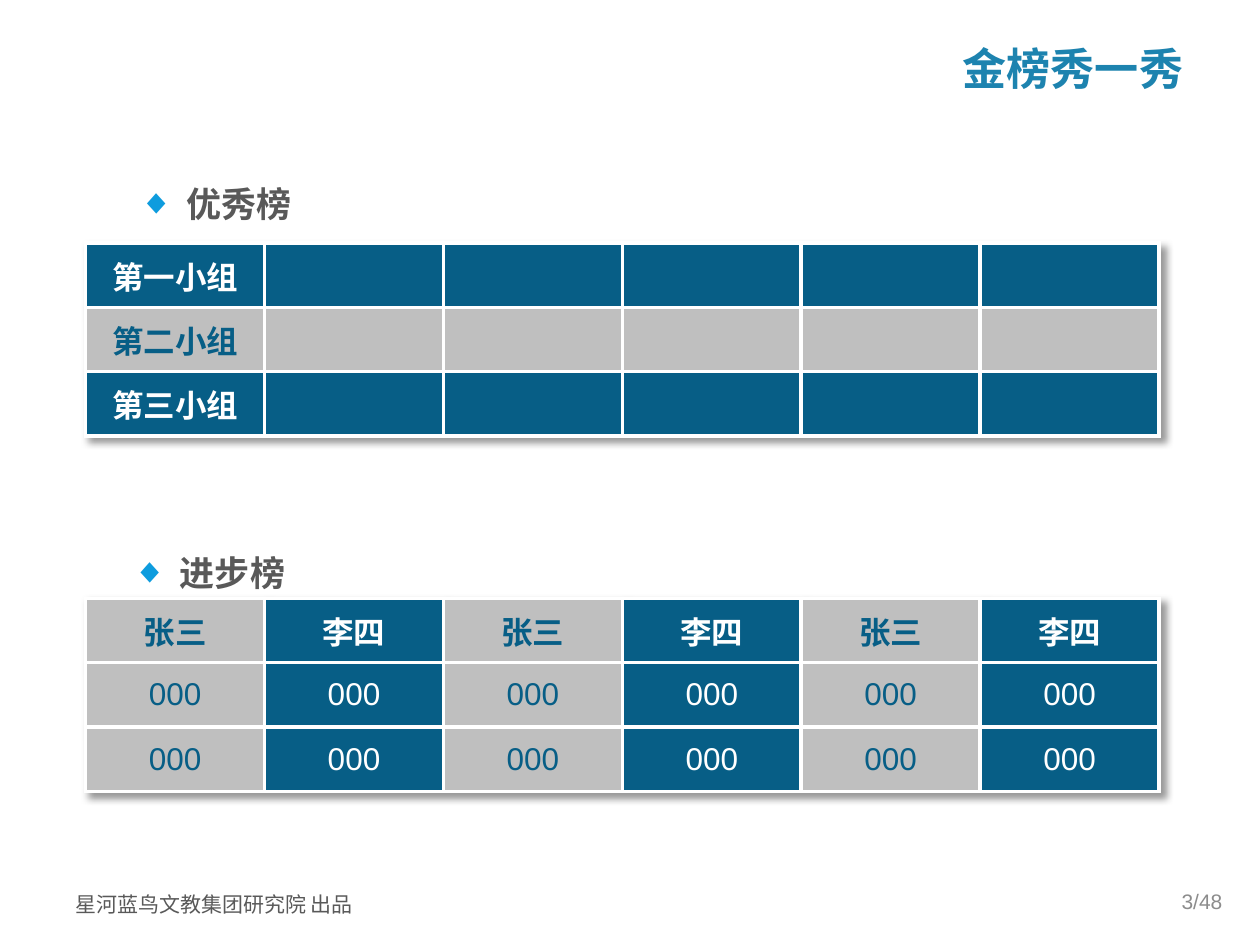
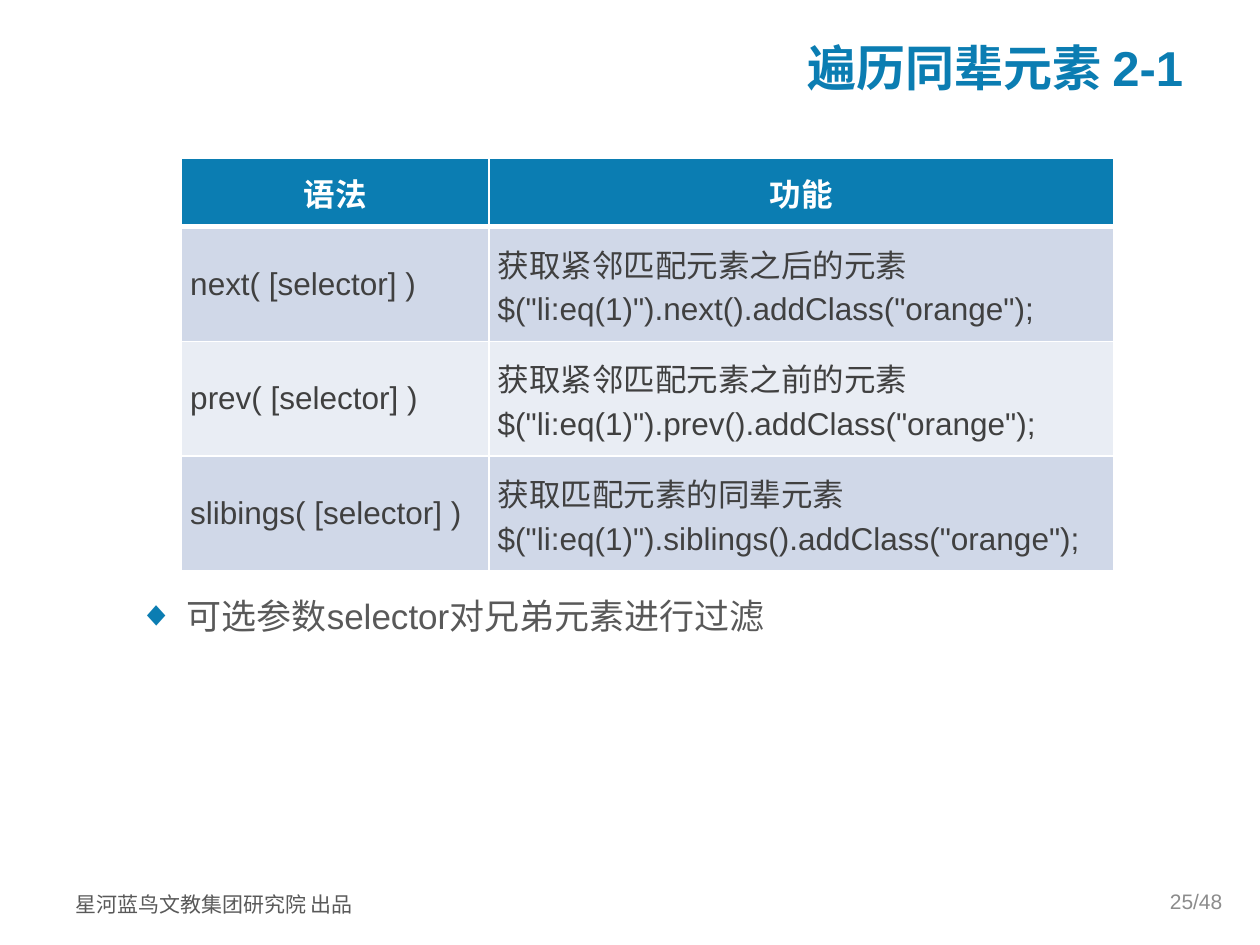
from lxml import etree
from pptx import Presentation
from pptx import util as u
from pptx.dml.color import RGBColor
from pptx.enum import text as t
from pptx.oxml import ns

CJK = "Noto Sans CJK SC"
SANS = "Arial"
WHITE, GREY, NAVY = "FFFFFF", "BFBFBF", "075E86"
BLUE, SKY, TEAL = "0B7DB2", "0E9CDE", "1D83AF"
TEXT, INK, PALE = "595959", "404040", "8C8C8C"
BANDS = ("D0D8E8", "E9EDF4")
LEFT, MID, RIGHT = t.PP_ALIGN.LEFT, t.PP_ALIGN.CENTER, t.PP_ALIGN.RIGHT


def color(code):
    return RGBColor.from_string(code)


def sub(parent, tag, **attrs):
    return etree.SubElement(parent, ns.qn("a:" + tag), attrs)


def place(shape, box):
    shape.left, shape.top, shape.width, shape.height = map(u.Inches, box)


def style(frame, size, code, font=SANS, bold=False, align=LEFT, lines=None, before=0):
    for para in frame.paragraphs:
        para.alignment = align
        para.space_before = u.Pt(before)
        if lines:
            para.line_spacing = lines
        for run in para.runs:
            run.font.size = u.Pt(size)
            run.font.bold = bold
            run.font.name = font
            run.font.color.rgb = color(code)
            sub(run.font._element, "ea", typeface=CJK)


def add_text(slide, box, words):
    shape = slide.shapes.add_textbox(*map(u.Inches, box))
    shape.text_frame.word_wrap = True
    shape.text_frame.text = words
    return shape.text_frame


def set_title(slide, words, size, code, font):
    title = slide.shapes.title
    place(title, (1, 0.31, 8.49, 0.45))
    frame = title.text_frame
    frame.text = words
    frame.auto_size = t.MSO_AUTO_SIZE.NONE
    frame.vertical_anchor = t.MSO_ANCHOR.MIDDLE
    style(frame, size, code, font, True, RIGHT)


def set_body(slide, box, words):
    body = slide.placeholders[1]
    place(body, box)
    frame = body.text_frame
    frame.text = words
    frame.auto_size = t.MSO_AUTO_SIZE.NONE
    return frame


def bullet(frame, mark, lines, font=CJK, bold=False):
    style(frame, 20, TEXT, font, bold, lines=lines, before=4)
    for para in frame.paragraphs:
        props = para._p.get_or_add_pPr()
        props.set("marL", str(u.Inches(0.38)))
        props.set("indent", str(-u.Inches(0.38)))
        sub(sub(props, "buClr"), "srgbClr", val=mark)
        sub(props, "buFont", typeface=SANS)
        sub(props, "buChar", char="◆")


def add_foot(slide, page):
    foot = add_text(slide, (0.5, 6.99, 2.53, 0.34), "星河蓝鸟文教集团研究院 出品")
    style(foot, 12, TEXT, CJK, lines=1.2)
    number = add_text(slide, (7.47, 6.95, 2.33, 0.4), f"{page}/48")
    number.vertical_anchor = t.MSO_ANCHOR.MIDDLE
    style(number, 12, PALE, align=RIGHT)


def add_grid(slide, left, top, cols, rows):
    box = map(u.Inches, (left, top, sum(cols), sum(rows)))
    table = slide.shapes.add_table(len(rows), len(cols), *box).table
    for col, width in zip(table.columns, cols):
        col.width = u.Inches(width)
    for row, height in zip(table.rows, rows):
        row.height = u.Inches(height)
    return table


def fill_cell(cell, words, fill, edge, base=None):
    cell.text = words
    cell.vertical_anchor = t.MSO_ANCHOR.MIDDLE
    props = cell._tc.get_or_add_tcPr()
    for side in ("lnL", "lnR", "lnT", "lnB"):
        width = base if base and side == "lnB" else edge
        line = sub(props, side, w=str(u.Pt(width)))
        sub(sub(line, "solidFill"), "srgbClr", val=WHITE)
    cell.fill.solid()
    cell.fill.fore_color.rgb = color(fill)


def add_shadow(table):
    props = table._tbl.tblPr
    effect = sub(props, "effectLst")
    props.insert(0, effect)
    shade = sub(effect, "outerShdw", blurRad=str(u.Pt(4)), dist=str(u.Pt(3)),
                dir="2700000", algn="tl", rotWithShape="0")
    sub(sub(shade, "srgbClr", val="000000"), "alpha", val="40000")


def add_board(slide, top, data, is_dark, is_bold):
    table = add_grid(slide, 0.68, top, [1.42] * 6, [0.51] * 3)
    add_shadow(table)
    for r, row in enumerate(data):
        for c, words in enumerate(row):
            dark = is_dark(r, c)
            cell = table.cell(r, c)
            fill_cell(cell, words, NAVY if dark else GREY, 2.25)
            style(cell.text_frame, 18, WHITE if dark else NAVY,
                  bold=is_bold(r), align=MID)


def add_guide(slide, data):
    table = add_grid(slide, 1.44, 1.26, [2.44, 4.96], [0.54] + [0.91] * 3)
    for r, row in enumerate(data):
        head = r == 0
        for c, words in enumerate(row):
            cell = table.cell(r, c)
            fill = BLUE if head else BANDS[(r - 1) % 2]
            fill_cell(cell, words, fill, 1, 3 if head else None)
            cell.margin_left = cell.margin_right = u.Inches(0.07)
            cell.margin_top = cell.margin_bottom = 0
            style(cell.text_frame, 18, WHITE if head else INK, bold=head,
                  align=MID if head else LEFT, before=3.6)


def make_honors(slide):
    set_title(slide, "金榜秀一秀", 25.2, TEAL, CJK)
    best = set_body(slide, (1, 1.23, 8.49, 4.72), "优秀榜")
    bullet(best, SKY, 1.5, bold=True)
    teams = [[f"第{n}小组"] + [""] * 5 for n in "一二三"]
    add_board(slide, 1.93, teams, lambda r, c: r % 2 == 0, lambda r: True)
    rising = add_text(slide, (0.95, 4.16, 1.84, 0.57), "进步榜")
    bullet(rising, SKY, 1.5, bold=True)
    scores = [["张三", "李四"] * 3] + [["000"] * 6] * 2
    add_board(slide, 4.75, scores, lambda r, c: c % 2 == 1, lambda r: r == 0)
    add_foot(slide, 3)


def make_peers(slide):
    set_title(slide, "遍历同辈元素 2-1", 28, BLUE, SANS)
    note = set_body(slide, (1, 4.6, 8.49, 1.35), "可选参数selector对兄弟元素进行过滤")
    bullet(note, BLUE, 1.2, SANS)
    calls = [
        ("next", "next", "获取紧邻匹配元素之后的元素"),
        ("prev", "prev", "获取紧邻匹配元素之前的元素"),
        ("slibings", "siblings", "获取匹配元素的同辈元素"),
    ]
    rows = [(f"{name}( [selector] )", f'{use}\n$("li:eq(1)").{call}().addClass("orange");')
            for name, call, use in calls]
    add_guide(slide, [("语法", "功能")] + rows)
    add_foot(slide, 25)


def main():
    deck = Presentation()
    deck.slide_width, deck.slide_height = u.Inches(10), u.Inches(7.5)
    for make in (make_honors, make_peers):
        make(deck.slides.add_slide(deck.slide_layouts[1]))
    deck.save("out.pptx")


if __name__ == "__main__":
    main()
